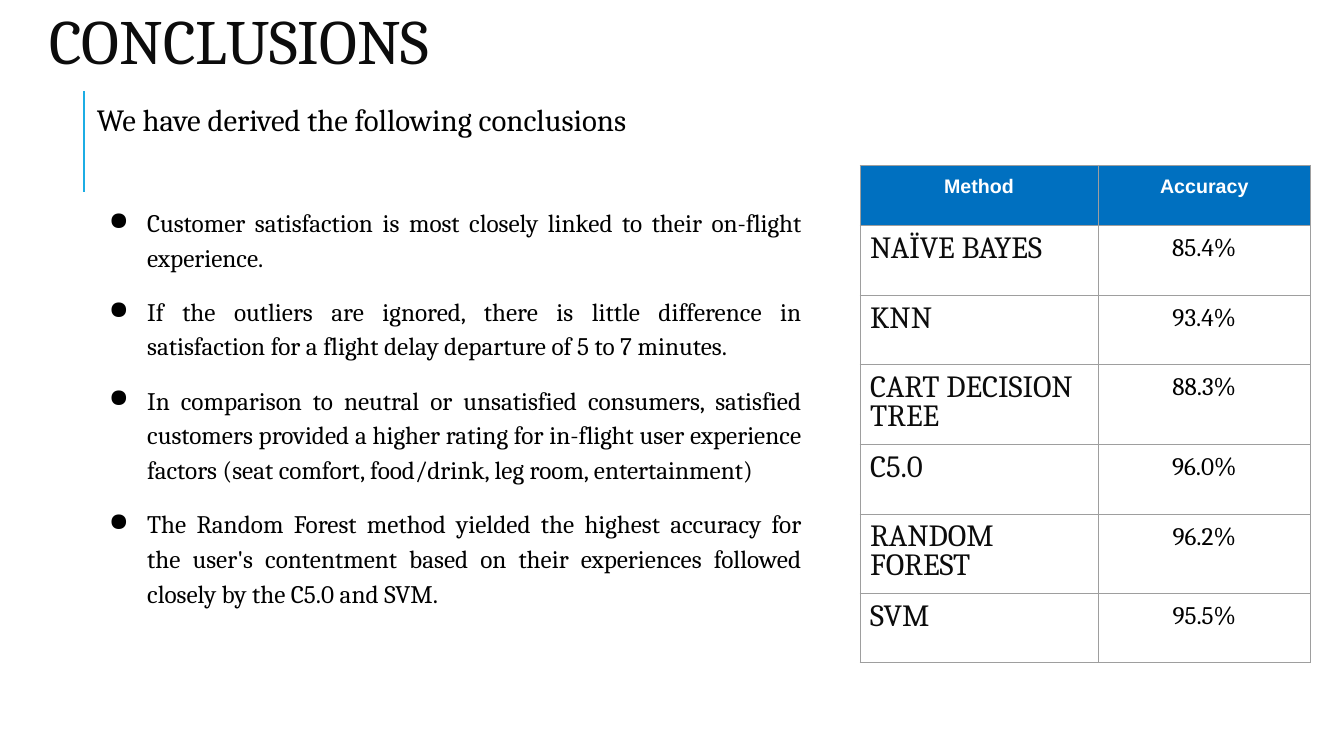
from dataclasses import dataclass

from lxml.etree import SubElement
from pptx import Presentation
from pptx.dml.color import RGBColor
from pptx.enum.shapes import MSO_CONNECTOR
from pptx.enum.text import MSO_ANCHOR, PP_ALIGN
from pptx.oxml.ns import qn
from pptx.util import Pt

SCALE = 9144  # EMU per px, 100 px to the inch


@dataclass(frozen=True)
class Theme:
    serif: str = "Cambria"
    sans: str = "Arial"
    ink: str = "0C0C0C"
    black: str = "000000"
    white: str = "FFFFFF"
    accent: str = "1CADE4"
    head: str = "0070C0"
    grid: str = "9E9E9E"
    title: int = 45
    large: int = 22
    body: int = 18
    label: int = 14


def px(size):
    return size * SCALE


class Deck:
    def __init__(self, theme):
        self.theme = theme
        self.file = Presentation()
        self.file.slide_width, self.file.slide_height = px(1333), px(750)
        self.slide = self.file.slides.add_slide(self.file.slide_layouts[6])

    def style(self, para, size, color, font=None, bold=False, align=PP_ALIGN.LEFT, lead=1.0):
        para.alignment, para.line_spacing = align, lead
        for run in para.runs:
            run.font.name = font or self.theme.serif
            run.font.size, run.font.bold = Pt(size), bold
            run.font.color.rgb = RGBColor.from_string(color)

    def inset(self, item, side, top):
        item.margin_left = item.margin_right = px(side)
        item.margin_top = item.margin_bottom = px(top)

    def box(self, left, top, width, height, side, anchor=MSO_ANCHOR.TOP):
        frame = self.slide.shapes.add_textbox(*map(px, (left, top, width, height))).text_frame
        frame.word_wrap, frame.vertical_anchor = True, anchor
        self.inset(frame, side, 5)
        return frame

    def title(self, text, *place):
        frame = self.box(*place, side=10, anchor=MSO_ANCHOR.MIDDLE)
        frame.text = text
        self.style(frame.paragraphs[0], self.theme.title, self.theme.ink, lead=0.8)

    def rule(self, x, top, end):
        line = self.slide.shapes.add_connector(MSO_CONNECTOR.STRAIGHT, px(x), px(end), px(x), px(top))
        line.line.color.rgb = RGBColor.from_string(self.theme.accent)
        line.line.width = Pt(1.5)
        SubElement(line._element.spPr, qn("a:effectLst"))

    def points(self, lead, items, *place):
        """Add an opening sentence and a bulleted list below it."""
        look = self.theme
        frame = self.box(*place, side=5)
        frame.text = lead
        self.style(frame.paragraphs[0], look.large, look.black, align=PP_ALIGN.JUSTIFY)
        for i, text in enumerate(items):
            para = frame.add_paragraph()
            para.text = text
            self.style(para, look.body, look.black, align=PP_ALIGN.JUSTIFY, lead=1.15)
            para.space_before = Pt(13.8 if i else 46.4)
            self.bullet(para)

    def bullet(self, para):
        props = para._p.get_or_add_pPr()
        props.set("marL", str(px(50)))
        props.set("indent", str(px(-38)))
        tint = SubElement(props, qn("a:buClr"))
        SubElement(tint, qn("a:srgbClr"), val=self.theme.black)
        SubElement(props, qn("a:buChar"), char="●")

    def border(self, cell):
        props = cell._tc.get_or_add_tcPr()
        for i, side in enumerate(("lnL", "lnR", "lnT", "lnB")):
            line = props.makeelement(qn(f"a:{side}"), {"w": str(Pt(0.75))})
            fill = SubElement(line, qn("a:solidFill"))
            SubElement(fill, qn("a:srgbClr"), val=self.theme.grid)
            props.insert(i, line)

    def table(self, rows, left, top, widths, heights):
        look = self.theme
        grid = self.slide.shapes.add_table(
            len(rows), len(widths), px(left), px(top), px(sum(widths)), px(sum(heights))
        ).table
        grid.first_row = grid.horz_banding = False
        for col, width in zip(grid.columns, widths):
            col.width = px(width)
        for r, (row, height) in enumerate(zip(rows, heights)):
            grid.rows[r].height = px(height)
            for c, text in enumerate(row):
                cell = grid.cell(r, c)
                cell.text = text
                self.inset(cell, 10, 10)
                para = cell.text_frame.paragraphs[0]
                if r == 0:
                    cell.fill.solid()
                    cell.fill.fore_color.rgb = RGBColor.from_string(look.head)
                    self.style(para, look.label, look.white, look.sans, True, PP_ALIGN.CENTER)
                else:
                    cell.fill.background()
                    if c == 0:
                        self.style(para, look.large, look.ink, lead=0.8)
                    else:
                        self.style(para, look.body, look.black, align=PP_ALIGN.CENTER, lead=0.9)
                self.border(cell)


POINTS = [
    "Customer satisfaction is most closely linked to their on-flight experience.",
    "If the outliers are ignored, there is little difference in satisfaction "
    "for a flight delay departure of 5 to 7 minutes.",
    "In comparison to neutral or unsatisfied consumers, satisfied customers provided a higher "
    "rating for in-flight user experience factors (seat comfort, food/drink, leg room, entertainment)",
    "The Random Forest method yielded the highest accuracy for the user's contentment "
    "based on their experiences followed closely by the C5.0 and SVM.",
]
SCORES = [
    ("Method", "Accuracy"),
    ("NAÏVE BAYES", "85.4%"),
    ("KNN", "93.4%"),
    ("CART DECISION TREE", "88.3%"),
    ("C5.0", "96.0%"),
    ("RANDOM FOREST", "96.2%"),
    ("SVM", "95.5%"),
]


def main():
    deck = Deck(Theme())
    deck.rule(83, 90, 190)
    deck.title("CONCLUSIONS", 39, 8, 1226, 76)
    deck.points("We have derived the following conclusions", POINTS, 91, 95, 709, 616)
    deck.table(SCORES, 853, 164, (236, 211), (60, 69, 69, 79, 69, 69, 69))
    deck.file.save("out.pptx")


if __name__ == "__main__":
    main()
